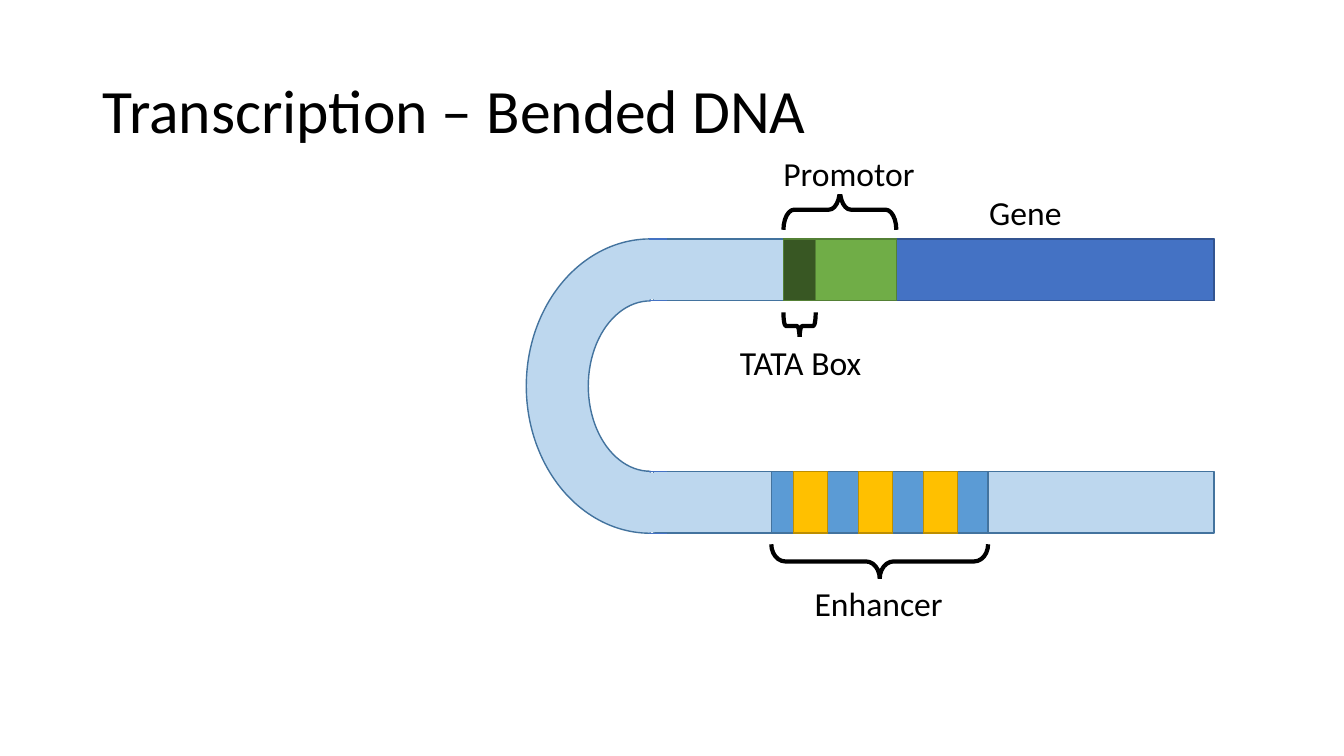
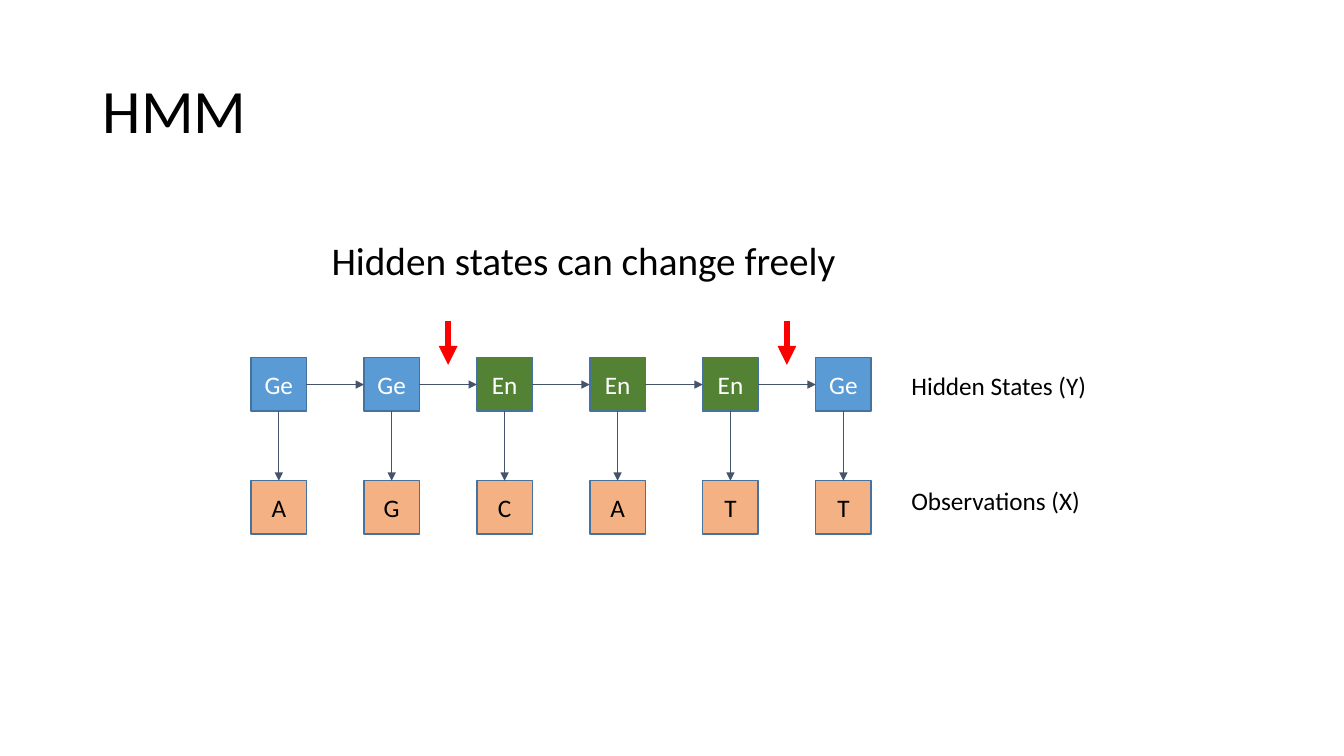
from dataclasses import dataclass
from itertools import pairwise

from lxml.etree import SubElement
from pptx import Presentation
from pptx.dml.color import RGBColor
from pptx.enum.shapes import MSO_CONNECTOR as Link, MSO_SHAPE as Form
from pptx.enum.text import MSO_ANCHOR as Anchor, MSO_AUTO_SIZE as Fit, PP_ALIGN as Align
from pptx.oxml.ns import qn
from pptx.util import Inches, Pt


@dataclass(frozen=True)
class Theme:
    """Colours, type sizes and line widths of both slides."""
    font: str = "Calibri"
    ink: str = "000000"
    paper: str = "FFFFFF"
    pale: str = "BDD7EE"
    blue: str = "5B9BD5"
    edge: str = "43739E"
    royal: str = "4472C4"
    navy: str = "325491"
    green: str = "70AD47"
    moss: str = "538035"
    forest: str = "385723"
    leaf: str = "548235"
    gold: str = "FFC000"
    bronze: str = "BD8E00"
    peach: str = "F4B183"
    slate: str = "44546A"
    red: str = "FF0000"
    title: int = 44
    lead: int = 28
    label: int = 24
    body: int = 18
    thin: float = 0.5
    rule: float = 1
    brace: float = 3
    bold: float = 4.5


T = Theme()
WIDE, HIGH = 13.33, 7.5
TITLE = (0.92, 0.4, 11.5, 1.45)

# Slide 1: the strand has two arms joined by a bend.
DNA = "Transcription – Bended DNA"
TOP, LOW, THICK = 2.37, 4.68, 0.61
START, END, BEND = 6.48, 12.04, 6.45
SPANS = {"promotor": (7.77, 1.12), "tata": (7.77, 0.32), "enhancer": (7.65, 2.15)}
GENE = SPANS["promotor"][0]
PARTS = [  # left, top, width, fill, line
    (START, TOP, END - START, T.pale, T.edge),
    (GENE, TOP, END - GENE, T.royal, T.navy),
    (*SPANS["promotor"][:1], TOP, SPANS["promotor"][1], T.green, T.moss),
    (*SPANS["tata"][:1], TOP, SPANS["tata"][1], T.forest, T.moss),
    (START, LOW, END - START, T.pale, T.edge),
    (*SPANS["enhancer"][:1], LOW, SPANS["enhancer"][1], T.blue, T.edge),
]
BANDS, BAND, STEP = 3, 0.34, 0.645
MARKS = [  # span, brace top, depth, curl, turn, label, label box
    ("enhancer", 5.4, 0.34, 0.405, 90, "Enhancer", (7.63, 5.75, 2.17, 0.46)),
    ("tata", 3.1, 0.27, 0.086, 90, "TATA Box", (7.06, 3.35, 1.76, 0.48)),
    ("promotor", 1.88, 0.4, 0.269, 270, "Promotor", (7.54, 1.52, 1.76, 0.4)),
]
NAME = ("Gene", (9.55, 1.86, 1.24, 0.48))

# Slide 2: one column for each step of the chain.
HMM = "HMM"
LEAD = ("Hidden states can change freely", (3.19, 2.35, 9, 0.6))
STATES = ["Ge", "Ge", "En", "En", "En", "Ge"]
SEEN = ["A", "G", "C", "A", "T", "T"]
ROWS = [("Hidden States (Y)", 3.62), ("Observations (X)", 4.77)]
HUES = {"Ge": T.blue, "En": T.leaf}
LEFT, PITCH, BOX, TALL = 2.49, 1.12, 0.55, 0.53
UPPER, UNDER, ASIDE = 3.55, 4.77, 8.94
DROP = (3.18, 3.62)


def rgb(hue):
    """Turn a hex string into a colour."""
    return RGBColor.from_string(hue)


def write(shape, text, size=T.body, hue=T.ink, align=Align.LEFT,
          anchor=Anchor.TOP, space=None, fit=Fit.NONE):
    """Put one formatted line of text in a shape."""
    frame = shape.text_frame
    frame.word_wrap, frame.auto_size = True, fit
    frame.vertical_anchor = anchor
    para = frame.paragraphs[0]
    para.alignment, para.line_spacing = align, space
    run = para.add_run()
    run.text = text
    font = run.font
    font.name, font.size, font.color.rgb = T.font, Pt(size), rgb(hue)


def place(home, form, box, fill=None, line=None, width=T.rule, turn=0):
    """Add a preset shape; None leaves out its fill or line."""
    shape = home.add_shape(form, *map(Inches, box))
    shape.shadow.inherit = False
    shape.rotation = turn
    if fill:
        shape.fill.solid()
        shape.fill.fore_color.rgb = rgb(fill)
    else:
        shape.fill.background()
    if line:
        shape.line.color.rgb, shape.line.width = rgb(line), Pt(width)
    else:
        shape.line.fill.background()
    return shape


def tile(home, text, box, fill, line, **form):
    """Add a rectangle with centred text."""
    shape = place(home, Form.RECTANGLE, box, fill, line)
    write(shape, text, align=Align.CENTER, anchor=Anchor.MIDDLE, **form)
    return shape


def note(home, text, box, **form):
    """Add a text box."""
    write(home.add_textbox(*map(Inches, box)), text, **form)


def draw(home, ends, hue, width, arrow=True):
    """Add a straight line, with an arrowhead if asked."""
    line = home.add_connector(Link.STRAIGHT, *map(Inches, ends))
    line.line.color.rgb, line.line.width = rgb(hue), Pt(width)
    props = line._element.spPr
    if arrow:
        SubElement(props.find(qn("a:ln")), qn("a:tailEnd"), type="triangle")
    SubElement(props, qn("a:effectLst"))
    return line


def join(home, one, two, exit, entry):
    """Link two tiles with a thin arrow between their sides."""
    line = draw(home, (0, 0, 1, 1), T.slate, T.thin)
    line.begin_connect(one, exit)
    line.end_connect(two, entry)


def upright(left, top, width, depth):
    """Return the box that covers this area after a quarter turn."""
    return (left + (width - depth) / 2, top + (depth - width) / 2, depth, width)


def start(deck, text):
    """Add a slide with its title."""
    slide = deck.slides.add_slide(deck.slide_layouts[5])
    head = slide.shapes.title
    head.left, head.top, head.width, head.height = map(Inches, TITLE)
    write(head, text, size=T.title, anchor=Anchor.MIDDLE, space=0.9)
    return slide.shapes


def strand(home):
    """Draw the bent strand with its coloured regions."""
    group = home.add_group_shape().shapes
    depth, span = 2.46, LOW + THICK - TOP
    place(group, Form.BLOCK_ARC, upright(BEND - depth / 2, TOP, depth, span),
          T.pale, T.edge, turn=270)
    for left, top, width, fill, line in PARTS:
        place(group, Form.RECTANGLE, (left, top, width, THICK), fill, line)
    for top in (TOP, LOW):
        place(group, Form.ROUNDED_RECTANGLE, (6.43, top + 0.01, 0.07, 0.59), T.pale)
        for y in (top, top + THICK):
            draw(group, (6.62, y, 6.44, y), T.royal, T.rule, arrow=False)
    for i in range(BANDS):
        place(group, Form.RECTANGLE, (7.87 + i * STEP, LOW, BAND, THICK),
              T.gold, T.bronze)


def bend(deck):
    """Build the slide on bent DNA."""
    home = start(deck, DNA)
    for key, top, depth, curl, turn, text, box in MARKS:
        group = home.add_group_shape().shapes
        left, width = SPANS[key]
        brace = place(group, Form.RIGHT_BRACE, upright(left, top, width, depth),
                      line=T.ink, width=T.brace, turn=turn)
        brace.adjustments[0] = curl
        tile(group, text, box, T.paper, T.paper, size=T.label)
    tile(home, *NAME, T.paper, T.paper, size=T.label)
    strand(home)


def chain(deck):
    """Build the slide on the hidden Markov model."""
    home = start(deck, HMM)
    note(home, *LEAD, size=T.lead, space=0.9)
    tops, lows = [], []
    for i, (state, sign) in enumerate(zip(STATES, SEEN)):
        x = LEFT + i * PITCH
        tops.append(tile(home, state, (x, UPPER, BOX, TALL),
                         HUES[state], T.edge, hue=T.paper))
        lows.append(tile(home, sign, (x, UNDER, BOX, TALL), T.peach, T.edge))
    for one, two in pairwise(tops):
        join(home, one, two, 3, 1)
    for one, two in zip(tops, lows):
        join(home, one, two, 2, 0)
    for i, (one, two) in enumerate(pairwise(STATES)):
        if one != two:
            x = LEFT + i * PITCH + (BOX + PITCH) / 2
            draw(home, (x, DROP[0], x, DROP[1]), T.red, T.bold)
    for text, top in ROWS:
        note(home, text, (ASIDE, top, 2.12, 0.4), fit=Fit.SHAPE_TO_FIT_TEXT)


def main():
    """Build and save the deck."""
    deck = Presentation()
    deck.slide_width, deck.slide_height = Inches(WIDE), Inches(HIGH)
    bend(deck)
    chain(deck)
    deck.save("out.pptx")


main()
